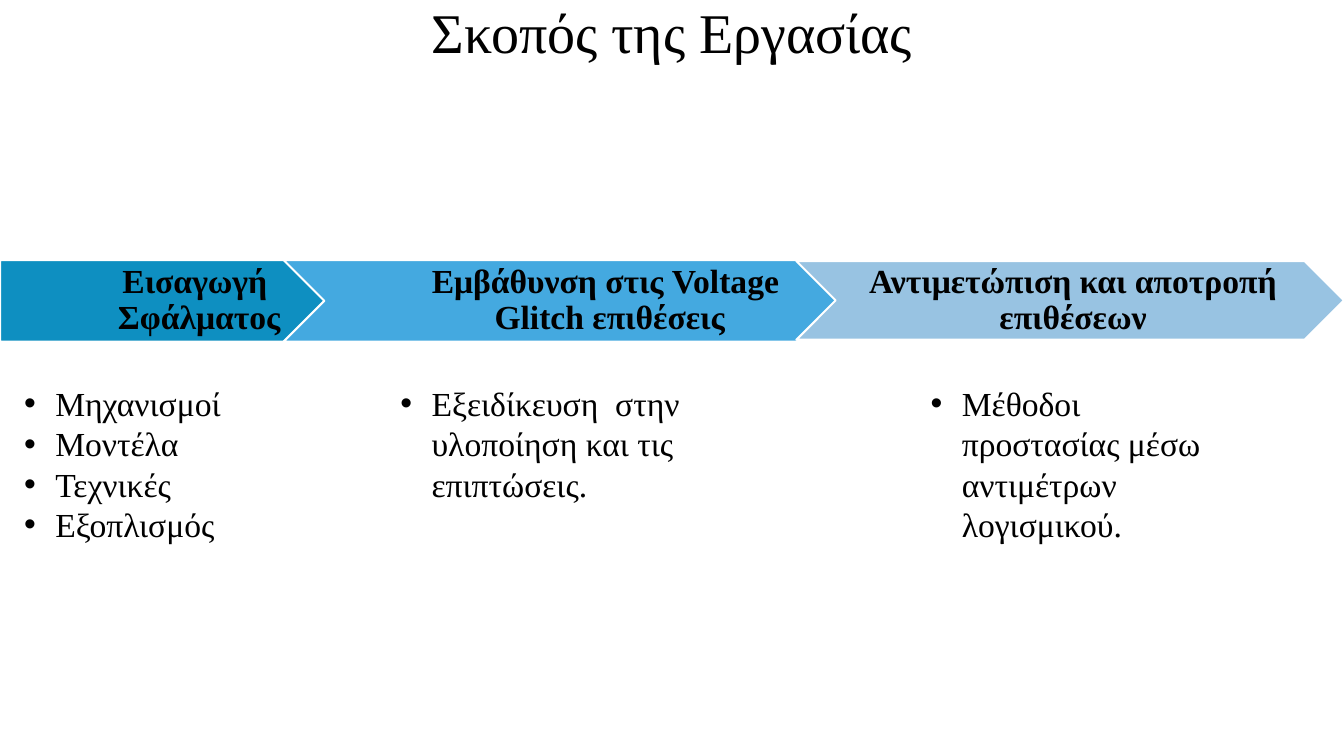
from dataclasses import dataclass

import pptx
import pptx.dml.color
import pptx.enum.shapes
import pptx.enum.text
import pptx.oxml
import pptx.oxml.ns
import pptx.util

SHAPES = pptx.enum.shapes.MSO_SHAPE
ALIGN = pptx.enum.text.PP_ALIGN
ANCHOR = pptx.enum.text.MSO_ANCHOR
FIT = pptx.enum.text.MSO_AUTO_SIZE


@dataclass(frozen=True)
class Theme:
    font: str = "Times New Roman"
    ink: str = "000000"
    edge: str = "FFFFFF"
    blues: tuple = ("0E8FC1", "44A9E0", "98C3E2")
    title_size: int = 40
    text_size: int = 24
    edge_width: float = 1.5
    tight: float = 0.9
    indent: float = 0.31


class Page:
    columns = 100
    rows = 75

    def __init__(self, deck, theme):
        self.deck = deck
        self.theme = theme
        self.slide = deck.slides.add_slide(deck.slide_layouts[5])

    def place(self, column, row, wide, high):
        across = self.deck.slide_width / self.columns
        down = self.deck.slide_height / self.rows
        return (round(column * across), round(row * down),
                round(wide * across), round(high * down))

    def color(self, value):
        return pptx.dml.color.RGBColor.from_string(value)

    def add_text(self, para, text, size, bold=False):
        for index, line in enumerate(text.split("\n")):
            if index:
                para.add_line_break()
            span = para.add_run()
            span.text = line
            span.font.name = self.theme.font
            span.font.size = pptx.util.Pt(size)
            span.font.bold = bold
            span.font.color.rgb = self.color(self.theme.ink)

    def center(self, frame, text, size, bold=False):
        frame.word_wrap = True
        frame.auto_size = FIT.NONE
        frame.vertical_anchor = ANCHOR.MIDDLE
        para = frame.paragraphs[0]
        para.alignment = ALIGN.CENTER
        para.line_spacing = self.theme.tight
        self.add_text(para, text, size, bold)

    def title(self, text, *area):
        box = self.slide.shapes.title
        box.left, box.top, box.width, box.height = self.place(*area)
        self.center(box.text_frame, text, self.theme.title_size)

    def stage(self, kind, fill, text, inset, *area):
        arrow = self.slide.shapes.add_shape(kind, *self.place(*area))
        arrow.shadow.inherit = False
        arrow.fill.solid()
        arrow.fill.fore_color.rgb = self.color(fill)
        arrow.line.color.rgb = self.color(self.theme.edge)
        arrow.line.width = pptx.util.Pt(self.theme.edge_width)
        frame = arrow.text_frame
        frame.margin_left = pptx.util.Inches(inset)
        frame.margin_right = pptx.util.Inches(0.04)
        frame.margin_top = frame.margin_bottom = pptx.util.Inches(0.07)
        self.center(frame, text, self.theme.text_size, bold=True)

    def bullets(self, items, *area):
        box = self.slide.shapes.add_textbox(*self.place(*area))
        frame = box.text_frame
        frame.word_wrap = True
        frame.auto_size = FIT.SHAPE_TO_FIT_TEXT
        indent = pptx.util.Inches(self.theme.indent)
        namespace = pptx.oxml.ns.nsdecls("a")
        for index, item in enumerate(items):
            para = frame.add_paragraph() if index else frame.paragraphs[0]
            properties = para._p.get_or_add_pPr()
            properties.set("marL", str(indent))
            properties.set("indent", str(-indent))
            for mark in ('buFont {} typeface="Arial"', 'buChar {} char="•"'):
                properties.append(pptx.oxml.parse_xml(f"<a:{mark.format(namespace)}/>"))
            self.add_text(para, item, self.theme.text_size)


def main():
    deck = pptx.Presentation()
    deck.slide_width = pptx.util.Inches(13.33)
    deck.slide_height = pptx.util.Inches(7.5)
    theme = Theme()
    page = Page(deck, theme)
    page.title("Σκοπός της Εργασίας", 6.9, 0.8, 86.2, 5.4)

    stages = [
        (SHAPES.PENTAGON, "Εισαγωγή \nΣφάλματος", 0.14, 0, 25.8, 30.4, 8.1),
        (SHAPES.CHEVRON, "Εμβάθυνση στις Voltage \nGlitch επιθέσεις",
         0.1, 21.1, 25.8, 48.1, 8.1),
        (SHAPES.CHEVRON, "Αντιμετώπιση και αποτροπή επιθέσεων",
         0.1, 59.25, 25.9, 40.75, 7.8),
    ]
    for fill, (kind, *details) in zip(theme.blues, stages):
        page.stage(kind, fill, *details)

    goals = [
        (["Μηχανισμοί", "Μοντέλα", "Τεχνικές", "Εξοπλισμός"], 1.05, 22.8, 20.2),
        (["Εξειδίκευση  στην υλοποίηση και τις επιπτώσεις."], 29.05, 32.55, 13.1),
        (["Μέθοδοι προστασίας μέσω αντιμέτρων λογισμικού."], 68.5, 24.7, 20.2),
    ]
    for items, column, wide, high in goals:
        page.bullets(items, column, 37.5, wide, high)

    deck.save("out.pptx")


if __name__ == "__main__":
    main()
